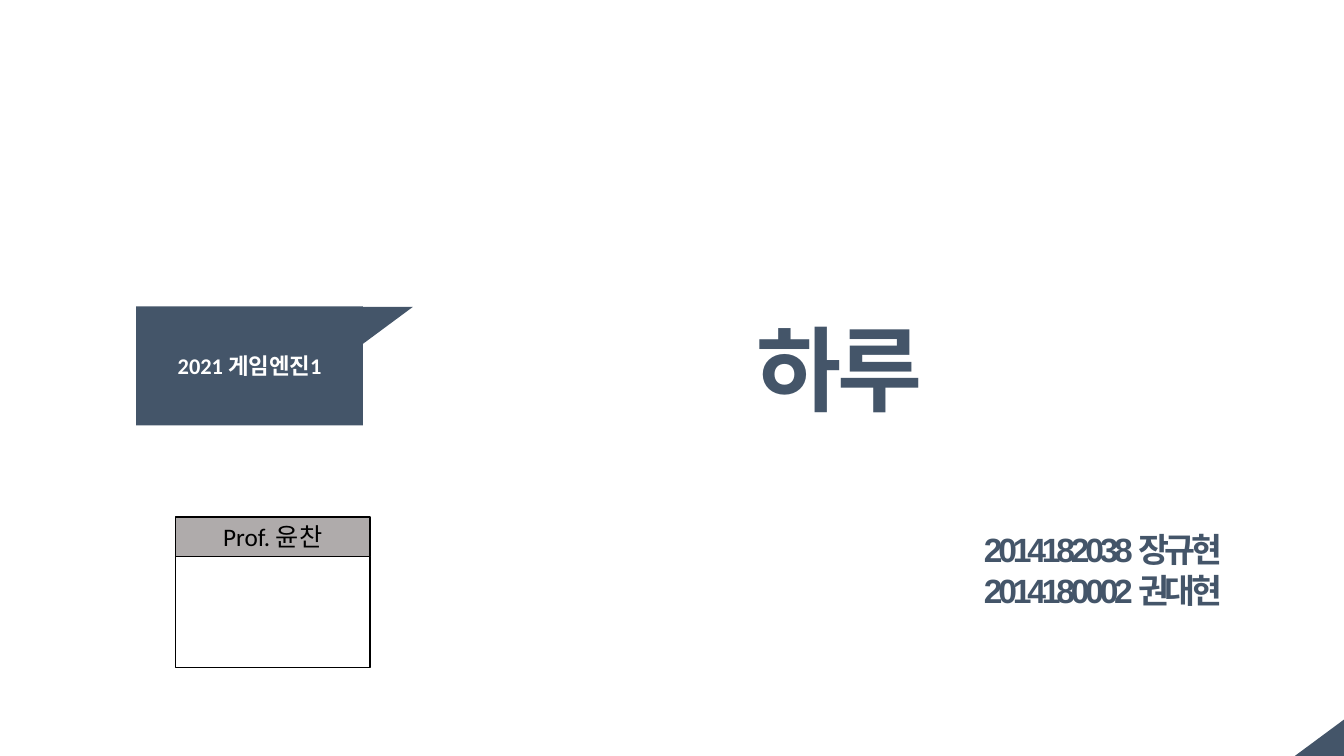
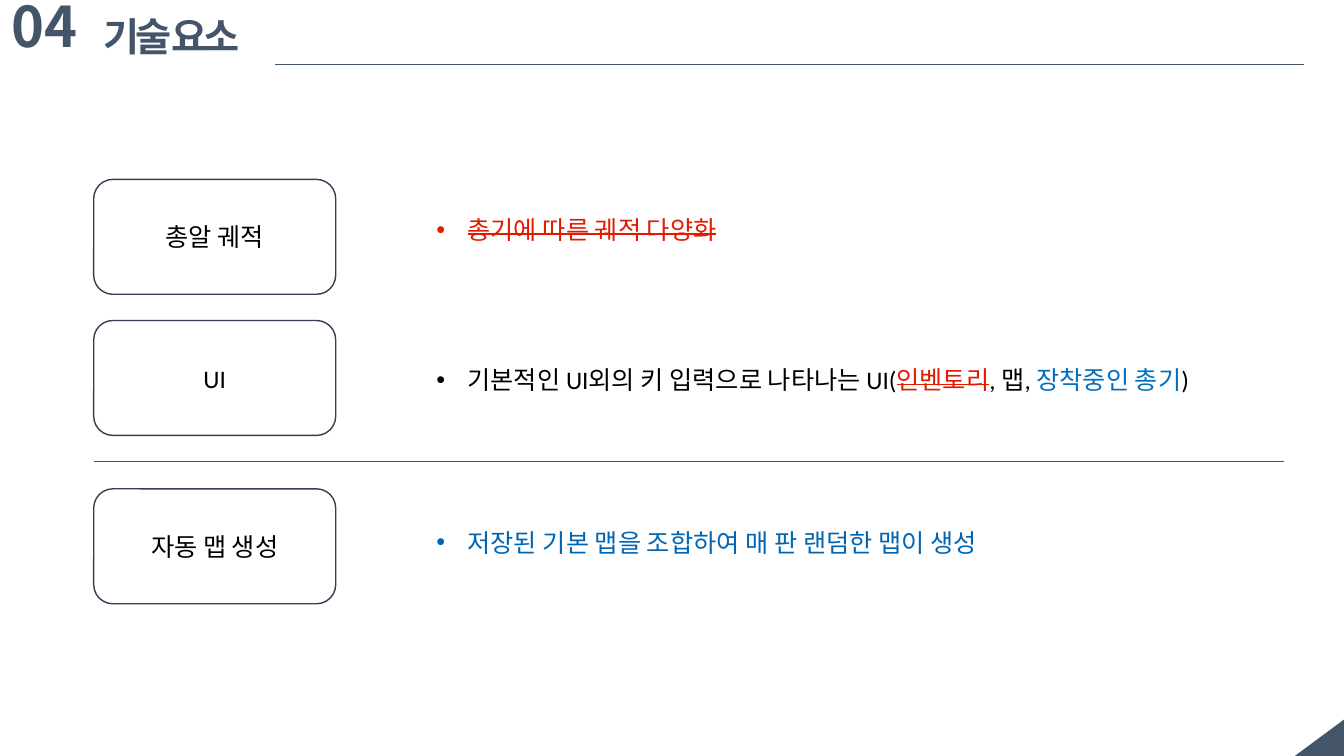
"""Build the title slide and the technology slide of a game project deck."""
from dataclasses import dataclass

from lxml.etree import SubElement
from pptx import Presentation
from pptx.dml.color import RGBColor
from pptx.enum.shapes import MSO_CONNECTOR, MSO_SHAPE
from pptx.enum.text import MSO_ANCHOR, MSO_AUTO_SIZE, PP_ALIGN
from pptx.oxml.ns import qn
from pptx.util import Emu, Pt

EMU_PER_PX = 9144


@dataclass(frozen=True)
class Theme:
    navy: str = "445569"
    outline: str = "333F50"
    black: str = "000000"
    white: str = "FFFFFF"
    gray: str = "AFABAB"
    red: str = "E41A00"
    blue: str = "0070C0"
    deep_blue: str = "0165B2"
    display_font: str = "Arial"
    body_font: str = "Calibri"
    number_font: str = "Noto Sans CJK KR"
    cover_size: int = 66
    number_size: int = 40
    heading_size: int = 28
    author_size: int = 24
    body_size: int = 18
    ribbon_size: int = 16
    tracking: int = -300
    line_width: float = 0.75
    border_width: float = 1


THEME = Theme()


@dataclass(frozen=True)
class Box:
    left: int
    top: int
    width: int
    height: int


@dataclass(frozen=True)
class Style:
    size: int = THEME.body_size
    color: str = THEME.black
    font: str = THEME.body_font
    bold: bool = False
    tracking: int = 0


@dataclass(frozen=True)
class Span:
    text: str
    color: str = THEME.black
    strike: bool = False


@dataclass(frozen=True)
class Feature:
    name: str
    card_top: int
    note_top: int
    spans: tuple[Span, ...]


def heading_style(size: int) -> Style:
    return Style(size, THEME.navy, THEME.display_font, True, THEME.tracking)


FEATURES = (
    Feature("총알 궤적", 178, 208, (Span("총기에 따른 궤적 다양화", THEME.red, True),)),
    Feature("UI", 318, 357, (
        Span("기본적인 UI외의 키 입력으로 나타나는 UI("),
        Span("인벤토리", THEME.red, True),
        Span(", 맵, "),
        Span("장착중인 총기", THEME.blue),
        Span(")"),
    )),
    Feature("자동 맵 생성", 485, 518, (
        Span("저장된 기본 맵을 조합하여 매 판 랜덤한 맵이 생성", THEME.deep_blue),
    )),
)


def px(length: int) -> Emu:
    return Emu(length * EMU_PER_PX)


def rgb(color: str) -> RGBColor:
    return RGBColor.from_string(color)


def place(shape, box: Box) -> None:
    shape.left, shape.top = px(box.left), px(box.top)
    shape.width, shape.height = px(box.width), px(box.height)


def format_run(run, style: Style, strike: bool = False) -> None:
    font = run.font
    font.size = Pt(style.size)
    font.bold = style.bold
    font.color.rgb = rgb(style.color)
    font.name = style.font
    properties = run._r.get_or_add_rPr()
    east_asian = style.font if style.font == THEME.number_font else THEME.body_font
    SubElement(properties, qn("a:ea")).set("typeface", east_asian)
    if style.tracking:
        properties.set("spc", str(style.tracking))
    if strike:
        properties.set("strike", "sngStrike")


def write(shape, text: str, style: Style, align=PP_ALIGN.LEFT,
          anchor=MSO_ANCHOR.TOP, inset: int = 5, wrap: bool = True) -> None:
    frame = shape.text_frame
    frame.text = text
    frame.word_wrap = wrap
    frame.auto_size = MSO_AUTO_SIZE.NONE
    frame.vertical_anchor = anchor
    frame.margin_left = frame.margin_right = px(10)
    frame.margin_top = frame.margin_bottom = px(inset)
    for paragraph in frame.paragraphs:
        paragraph.alignment = align
        for run in paragraph.runs:
            format_run(run, style)


def add_text(page, box: Box, text: str, style: Style, inset: int = 5) -> None:
    shape = page.shapes.add_textbox(0, 0, 0, 0)
    place(shape, box)
    write(shape, text, style, inset=inset)


def add_panel(page, kind: MSO_SHAPE, box: Box, fill: str | None = None,
              line: str | None = None, rotation: int = 0):
    panel = page.shapes.add_shape(kind, 0, 0, 0, 0)
    place(panel, box)
    panel.shadow.inherit = False
    panel.rotation = rotation
    if fill:
        panel.fill.solid()
        panel.fill.fore_color.rgb = rgb(fill)
    else:
        panel.fill.background()
    if line:
        panel.line.color.rgb = rgb(line)
        panel.line.width = Pt(THEME.border_width)
    else:
        panel.line.fill.background()
    return panel


def add_label(panel, text: str, style: Style) -> None:
    write(panel, text, style, PP_ALIGN.CENTER, MSO_ANCHOR.MIDDLE)


def add_rule(page, left: int, right: int, top: int) -> None:
    rule = page.shapes.add_connector(
        MSO_CONNECTOR.STRAIGHT, px(left), px(top), px(right), px(top))
    rule.line.color.rgb = rgb(THEME.navy)
    rule.line.width = Pt(THEME.line_width)
    SubElement(rule._element.spPr, qn("a:effectLst"))


def add_note(page, box: Box, spans: tuple[Span, ...]) -> None:
    shape = page.shapes.add_textbox(0, 0, 0, 0)
    place(shape, box)
    frame = shape.text_frame
    frame.word_wrap = True
    paragraph = frame.paragraphs[0]
    properties = paragraph._p.get_or_add_pPr()
    properties.set("marL", str(px(31)))
    properties.set("indent", str(px(-31)))
    SubElement(properties, qn("a:buFont")).set("typeface", THEME.display_font)
    SubElement(properties, qn("a:buChar")).set("char", "•")
    for span in spans:
        run = paragraph.add_run()
        run.text = span.text
        format_run(run, Style(color=span.color), span.strike)


def add_page(deck):
    page = deck.slides.add_slide(deck.slide_layouts[5])
    add_panel(page, MSO_SHAPE.RIGHT_TRIANGLE, Box(1290, 707, 37, 50), THEME.navy, rotation=270)
    return page


def build_cover(deck) -> None:
    page = add_page(deck)
    title = page.shapes.title
    place(title, Box(384, 310, 898, 111))
    write(title, "하루", heading_style(THEME.cover_size), PP_ALIGN.CENTER, inset=0)

    ribbon = add_panel(page, MSO_SHAPE.RECTANGLE, Box(135, 304, 225, 118), THEME.navy)
    add_label(ribbon, "2021 게임엔진1", Style(THEME.ribbon_size, THEME.white, bold=True))
    add_panel(page, MSO_SHAPE.RIGHT_TRIANGLE, Box(366, 298, 37, 50), THEME.navy, rotation=90)

    add_text(page, Box(966, 525, 295, 81), "2014182038 장규현\n2014180002 권대현",
             heading_style(THEME.author_size), inset=0)
    add_panel(page, MSO_SHAPE.RECTANGLE, Box(174, 552, 193, 110), THEME.white, THEME.black)
    professor = add_panel(page, MSO_SHAPE.RECTANGLE, Box(174, 513, 193, 39),
                          THEME.gray, THEME.black)
    add_label(professor, "Prof. 윤찬", Style())


def build_technology(deck) -> None:
    page = add_page(deck)
    title = page.shapes.title
    place(title, Box(93, 7, 170, 57))
    write(title, "기술 요소", heading_style(THEME.heading_size), wrap=False)
    add_text(page, Box(2, -8, 127, 77), "04",
             Style(THEME.number_size, THEME.navy, THEME.number_font, True), inset=0)
    add_rule(page, 273, 1293, 64)
    add_rule(page, 93, 1273, 458)
    for feature in FEATURES:
        card = add_panel(page, MSO_SHAPE.ROUNDED_RECTANGLE,
                         Box(93, feature.card_top, 240, 114), line=THEME.outline)
        add_label(card, feature.name, Style())
        add_note(page, Box(423, feature.note_top, 850, 40), feature.spans)


def main() -> None:
    deck = Presentation()
    deck.slide_width, deck.slide_height = px(1333), px(750)
    build_cover(deck)
    build_technology(deck)
    deck.save("out.pptx")


if __name__ == "__main__":
    main()
